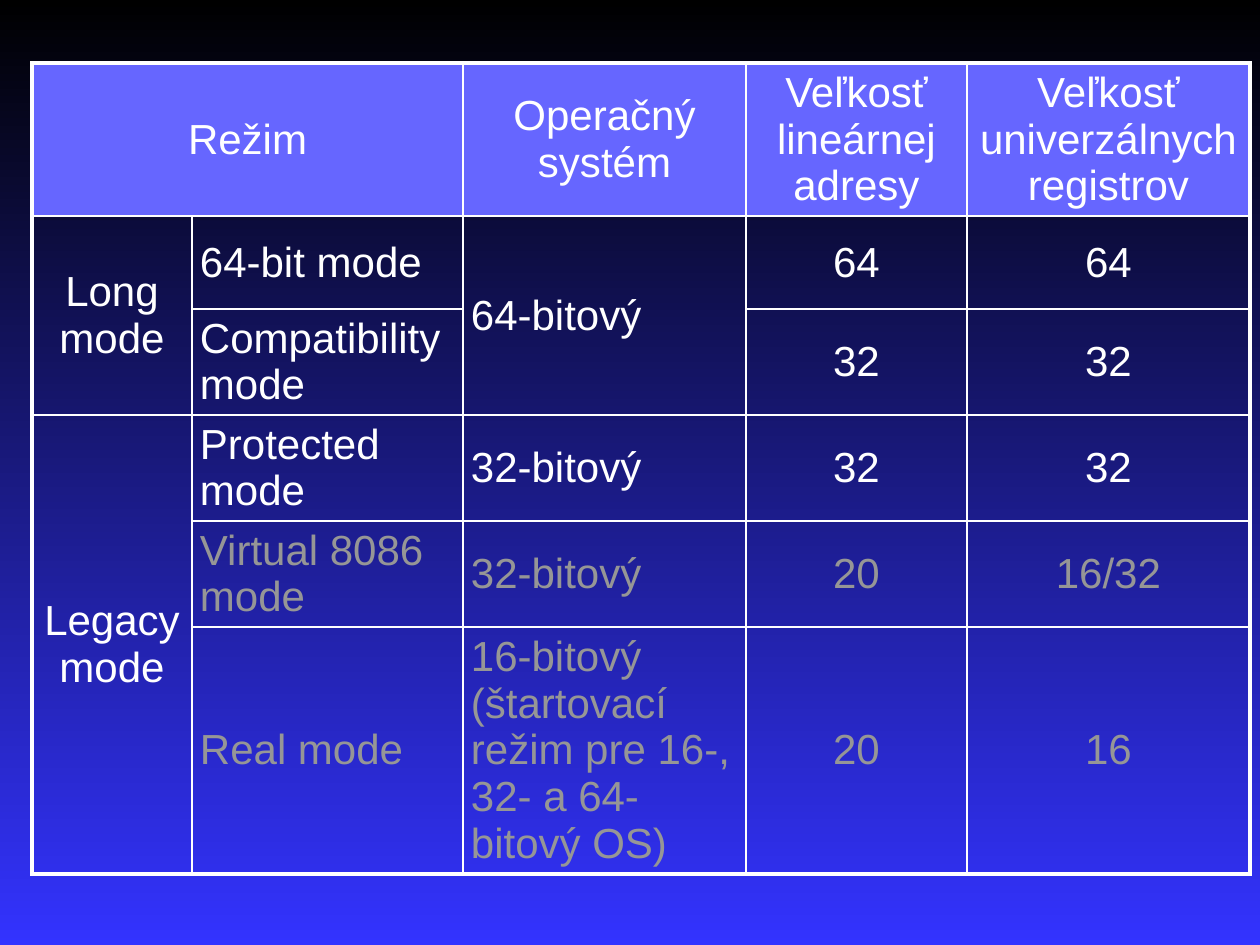
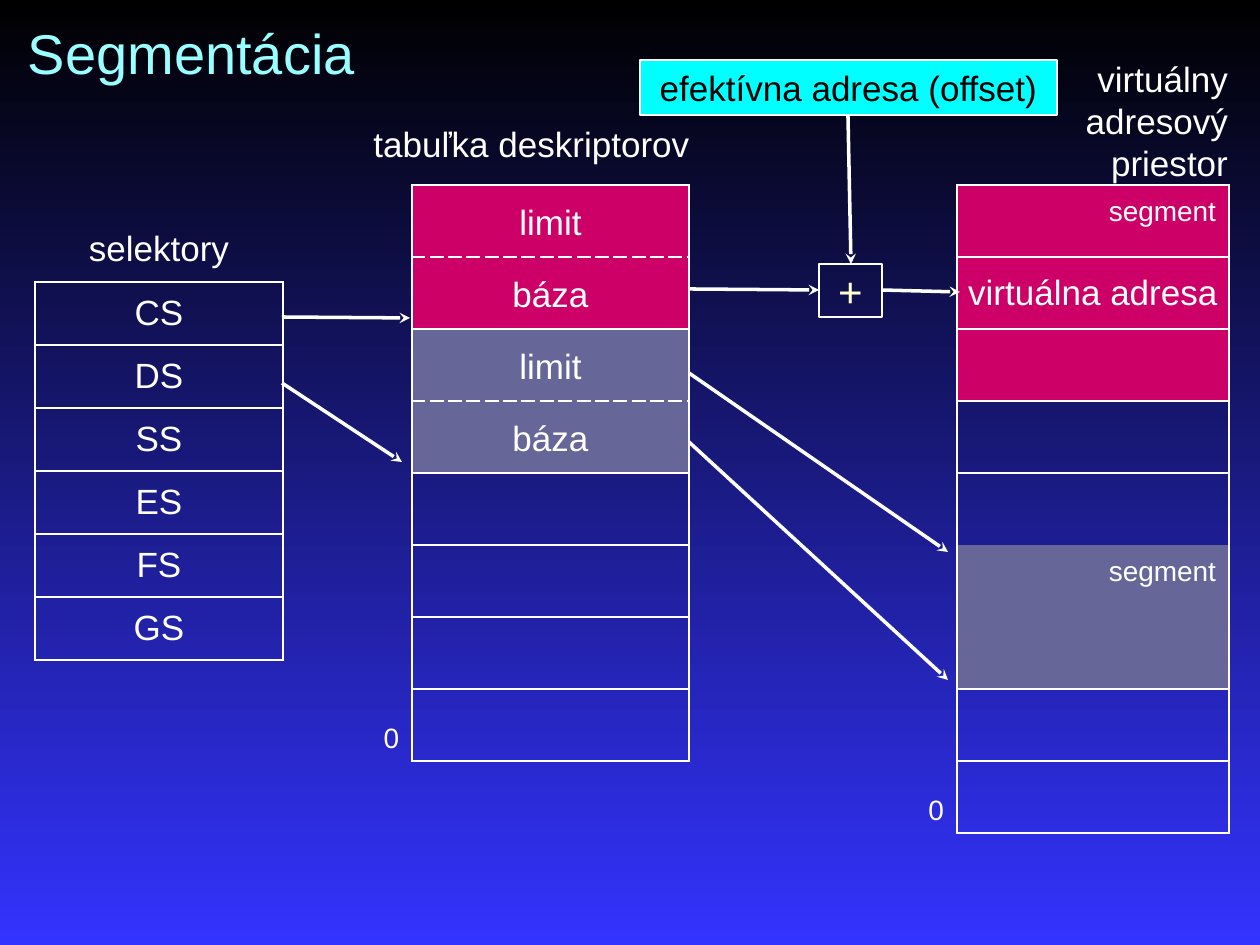
from lxml import etree
from pptx import Presentation
from pptx.dml.color import RGBColor
from pptx.enum.shapes import MSO_CONNECTOR, MSO_SHAPE
from pptx.enum.text import MSO_ANCHOR, PP_ALIGN
from pptx.oxml.ns import qn
from pptx.util import Pt

LEFT, CENTER, RIGHT = PP_ALIGN.LEFT, PP_ALIGN.CENTER, PP_ALIGN.RIGHT
TOP, MIDDLE, BOTTOM = MSO_ANCHOR.TOP, MSO_ANCHOR.MIDDLE, MSO_ANCHOR.BOTTOM
RECTANGLE, STRAIGHT = MSO_SHAPE.RECTANGLE, MSO_CONNECTOR.STRAIGHT

EMU_PER_PX = 914400 / 126
FONT = "Arial"
COLORS = {
    "white": "FFFFFF",
    "black": "000000",
    "blue": "3333FF",
    "header": "6666FF",
    "muted": "969696",
    "title": "99FFFF",
    "code": "CC0066",
    "data": "666699",
    "offset": "00FFFF",
    "plus": "FFFFCC",
}
SOLID, DASH, SHORT_DASH = "solid", "dash", "sysDash"
SIDES = ("L", "R", "T", "B")


def px(length):
    return round(length * EMU_PER_PX)


def rgb(name):
    return RGBColor.from_string(COLORS[name])


def write(holder, text, size=20, color="white", align=CENTER, anchor=MIDDLE,
          insets=(13, 6, 13, 6), wrap=True):
    box = holder if hasattr(holder, "margin_left") else holder.text_frame
    box.margin_left, box.margin_top, box.margin_right, box.margin_bottom = map(px, insets)
    box.vertical_anchor = anchor
    holder.text_frame.word_wrap = wrap
    paragraph = holder.text_frame.paragraphs[0]
    paragraph.alignment = align
    run = paragraph.add_run()
    run.text = text
    run.font.name = FONT
    run.font.size = Pt(size)
    run.font.color.rgb = rgb(color)


def paint(fill, color):
    if color:
        fill.solid()
        fill.fore_color.rgb = rgb(color)
    else:
        fill.background()


def add_label(slide, box, text, **text_format):
    label = slide.shapes.add_textbox(*map(px, box))
    write(label, text, **text_format)


def add_box(slide, box, text, fill=None, **text_format):
    shape = slide.shapes.add_shape(RECTANGLE, *map(px, box))
    shape.shadow.inherit = False
    paint(shape.fill, fill)
    shape.line.color.rgb = rgb("white")
    shape.line.width = Pt(0.75)
    write(shape, text, **text_format)


def add_arrow(slide, start, end):
    connector = slide.shapes.add_connector(STRAIGHT, *map(px, start + end))
    connector.line.color.rgb = rgb("white")
    connector.line.width = Pt(2)
    properties = connector.element.spPr
    etree.SubElement(properties.find(qn("a:ln")), qn("a:tailEnd"), type="stealth")
    etree.SubElement(properties, qn("a:effectLst"))


def add_grid(slide, left, top, widths, heights):
    box = (left, top, sum(widths), sum(heights))
    table = slide.shapes.add_table(len(heights), len(widths), *map(px, box)).table
    table.first_row = table.horz_banding = False
    for column, width in zip(table.columns, widths):
        column.width = px(width)
    for row, height in zip(table.rows, heights):
        row.height = px(height)
    return table


def style_cell(cell, borders, fill=None):
    paint(cell.fill, fill)
    properties = cell._tc.get_or_add_tcPr()
    for position, side in enumerate(SIDES):
        width, dash = borders.get(side) or (0, None)
        line = etree.Element(qn(f"a:ln{side}"), w=str(Pt(width)))
        if dash:
            solid_fill = etree.SubElement(line, qn("a:solidFill"))
            etree.SubElement(solid_fill, qn("a:srgbClr"), val=COLORS["white"])
            etree.SubElement(line, qn("a:prstDash"), val=dash)
        else:
            etree.SubElement(line, qn("a:noFill"))
        properties.insert(position, line)


def add_slide(presentation):
    slide = presentation.slides.add_slide(presentation.slide_layouts[6])
    fill = slide.background.fill
    fill.gradient()
    fill.gradient_angle = 270
    for stop, position, color in zip(fill.gradient_stops, (0, 1), ("black", "blue")):
        stop.position = position
        stop.color.rgb = rgb(color)
    return slide


def add_modes_table(slide, left, top):
    rows = [
        ("Režim", "", "Operačný systém", "Veľkosť lineárnej adresy",
         "Veľkosť univerzálnych registrov"),
        ("Long mode", "64-bit mode", "64-bitový", "64", "64"),
        ("", "Compatibility mode", "", "32", "32"),
        ("Legacy mode", "Protected mode", "32-bitový", "32", "32"),
        ("", "Virtual 8086 mode", "32-bitový", "20", "16/32"),
        ("", "Real mode", "16-bitový (štartovací režim pre 16-, 32- a 64-bitový OS)",
         "20", "16"),
    ]
    merges = [((0, 0), (0, 1)), ((1, 0), (2, 0)), ((1, 2), (2, 2)), ((3, 0), (5, 0))]
    table = add_grid(slide, left, top, (160, 271, 283, 221, 283),
                     (153, 93, 106, 106, 106, 247))
    owners = {(row, column): (row, column) for row in range(6) for column in range(5)}
    for first, last in merges:
        table.cell(*first).merge(table.cell(*last))
        for row in range(first[0], last[0] + 1):
            for column in range(first[1], last[1] + 1):
                owners[row, column] = first
    for (row, column), owner in owners.items():
        cell = table.cell(row, column)
        neighbours = {
            "L": (row, column - 1),
            "R": (row, column + cell.span_width),
            "T": (row - 1, column),
            "B": (row + cell.span_height, column),
        }
        borders = {}
        for side, neighbour in neighbours.items():
            if neighbour not in owners:
                borders[side] = (2.25, SOLID)
            elif owners[neighbour] != owner:
                borders[side] = (1, SOLID)
        style_cell(cell, borders, "header" if row == 0 else None)
        if rows[row][column]:
            write(cell, rows[row][column], size=24, insets=(8, 6, 8, 6),
                  color="muted" if row > 3 and column else "white",
                  align=LEFT if row and column in (1, 2) else CENTER)


def add_memory_table(slide, left, top):
    row_count = 9
    fills = {
        1: ["code"] * 2 + ["data"] * 2,
        3: ["code"] * 3 + [None] * 2 + ["data"] * 2,
    }
    rules = {
        1: [SOLID, DASH, SOLID, SHORT_DASH] + [SOLID] * 5,
        3: [SOLID] * 5 + [None] * 2 + [SOLID] * 3,
    }
    entry = {"insets": (13, 11, 13, 6)}
    corner = {**entry, "size": 16, "align": RIGHT}
    texts = {
        (0, 1): ("limit", entry),
        (1, 1): ("báza", entry),
        (2, 1): ("limit", entry),
        (3, 1): ("báza", entry),
        (0, 3): ("segment", {**corner, "anchor": TOP}),
        (1, 3): ("virtuálna adresa", {"insets": (0, 0, 0, 0)}),
        (5, 3): ("segment", {**corner, "anchor": TOP}),
        (7, 0): ("0", {**corner, "anchor": BOTTOM}),
        (8, 2): ("0", {**corner, "anchor": BOTTOM}),
    }
    table = add_grid(slide, left, top, (79, 277, 268, 272), [72] * row_count)
    for row in range(row_count):
        beside_descriptors = SOLID if row < row_count - 1 else None
        verticals = [None, beside_descriptors, beside_descriptors, SOLID, SOLID]
        for column in range(4):
            horizontals = rules.get(column, []) + [None] * (row_count + 1)
            dashes = (verticals[column], verticals[column + 1],
                      horizontals[row], horizontals[row + 1])
            borders = {side: (1, dash) for side, dash in zip(SIDES, dashes) if dash}
            column_fills = fills.get(column, []) + [None] * row_count
            cell = table.cell(row, column)
            style_cell(cell, borders, column_fills[row])
            if (row, column) in texts:
                text, text_format = texts[row, column]
                write(cell, text, **text_format)


def add_selector_table(slide, left, top):
    names = ["selektory", "CS", "DS", "SS", "ES", "FS", "GS"]
    table = add_grid(slide, left, top, [248], [58] + [63] * 6)
    for row, name in enumerate(names):
        sides = SIDES if row else "B"
        cell = table.cell(row, 0)
        style_cell(cell, {side: (1, SOLID) for side in sides})
        write(cell, name, anchor=MIDDLE if row else TOP)


def add_address_sum(slide, left, top):
    add_box(slide, (left, top, 417, 55), "efektívna adresa (offset)", fill="offset",
            color="black", insets=(13, 0, 13, 0))
    add_box(slide, (left + 179, top + 204, 63, 53), "+", size=24, color="plus", wrap=False)
    arrows = [
        ((208, 56), (211, 204)),
        ((49, 229), (179, 230)),
        ((242, 230), (320, 232)),
    ]
    add_arrows(slide, left, top, arrows)


def add_arrows(slide, left, top, arrows):
    for start, end in arrows:
        add_arrow(slide, (left + start[0], top + start[1]), (left + end[0], top + end[1]))


def add_segmentation(slide, left, top):
    add_label(slide, (left + 15, top, 417, 105), "Segmentácia", size=32, color="title",
              align=LEFT)
    add_memory_table(slide, left + 333, top + 185)
    add_selector_table(slide, left + 35, top + 224)
    add_address_sum(slide, left + 640, top + 60)
    arrows = [
        ((282, 317), (410, 318)),
        ((282, 383), (402, 462)),
        ((689, 373), (948, 552)),
        ((689, 442), (948, 680)),
    ]
    add_arrows(slide, left, top, arrows)
    add_label(slide, (left + 333, top + 116, 397, 55), "tabuľka deskriptorov",
              insets=(13, 0, 13, 0))
    add_label(slide, (left + 978, top + 57, 263, 127), "virtuálny adresový priestor",
              align=RIGHT, insets=(13, 0, 13, 0))


def main():
    presentation = Presentation()
    presentation.slide_width, presentation.slide_height = px(1260), px(945)
    add_modes_table(add_slide(presentation), 32, 63)
    add_segmentation(add_slide(presentation), 0, 0)
    presentation.save("out.pptx")


if __name__ == "__main__":
    main()
